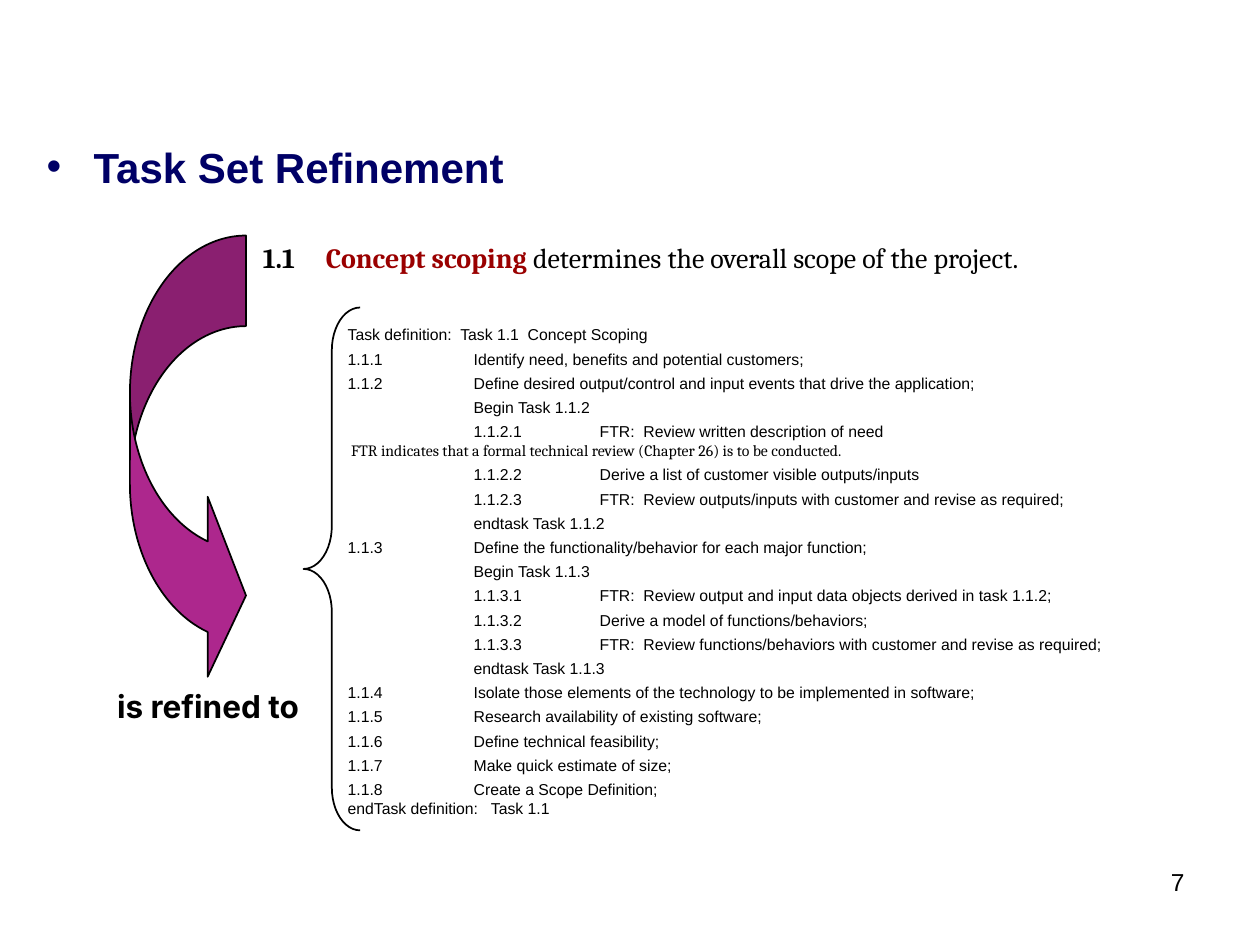
"""Build the Task Set Refinement slide."""
from lxml.etree import SubElement
from pptx import Presentation
from pptx.dml.color import RGBColor
from pptx.enum.shapes import MSO_SHAPE as Shape
from pptx.enum.text import MSO_ANCHOR as Anchor, PP_ALIGN as Align
from pptx.oxml.ns import qn
from pptx.util import Cm, Pt

COLORS = {"text": "000000", "title": "000066", "term": "9A0000", "arrow": "AD278D"}

TASKS = [
    "Task definition:  Task 1.1  Concept Scoping",
    "1.1.1\tIdentify need, benefits and potential customers;",
    "1.1.2\tDefine desired output/control and input events that drive the application;",
    "\tBegin Task 1.1.2",
    "\t1.1.2.1\tFTR:  Review written description of need",
    " FTR indicates that a formal technical review (Chapter 26) is to be conducted.",
    "\t1.1.2.2\tDerive a list of customer visible outputs/inputs",
    "\t1.1.2.3\tFTR:  Review outputs/inputs with customer and revise as required;",
    "\tendtask Task 1.1.2",
    "1.1.3\tDefine the functionality/behavior for each major function;",
    "\tBegin Task 1.1.3",
    "\t1.1.3.1\tFTR:  Review output and input data objects derived in task 1.1.2;",
    "\t1.1.3.2\tDerive a model of functions/behaviors;",
    "\t1.1.3.3\tFTR:  Review functions/behaviors with customer and revise as required;",
    "\tendtask Task 1.1.3",
    "1.1.4\tIsolate those elements of the technology to be implemented in software;",
    "1.1.5\tResearch availability of existing software;",
    "1.1.6\tDefine technical feasibility;",
    "1.1.7\tMake quick estimate of size;",
    "1.1.8\tCreate a Scope Definition;",
    "endTask definition:   Task 1.1",
]
NOTE_ROW = 5


def color(name):
    return RGBColor.from_string(COLORS[name])


def style(span, size, font="Arial", tint="text", bold=False):
    span.font.size = Pt(size)
    span.font.name = font
    span.font.bold = bold
    span.font.color.rgb = color(tint)


def add_text(page, place, text):
    box = page.shapes.add_textbox(*map(Cm, place))
    frame = box.text_frame
    frame.word_wrap = True
    frame.vertical_anchor = Anchor.TOP
    frame.text = text
    return frame.paragraphs


def set_tabs(para, *stops):
    tabs = SubElement(para._p.get_or_add_pPr(), qn("a:tabLst"))
    for stop in stops:
        SubElement(tabs, qn("a:tab"), pos=str(Cm(stop)), algn="l")


def set_bullet(para, indent):
    props = para._p.get_or_add_pPr()
    props.set("marL", str(Cm(indent)))
    props.set("indent", str(-Cm(indent)))
    SubElement(props, qn("a:buFont"), typeface="Arial")
    SubElement(props, qn("a:buChar"), char="•")


def add_title(page):
    para = add_text(page, (0.69, 2.72, 22.86, 2.41), "Task Set Refinement")[0]
    para.space_before = Pt(6)
    set_bullet(para, 0.95)
    style(para.runs[0], 24, tint="title", bold=True)


def add_scope_line(page):
    para = add_text(page, (5.05, 4.72, 15.9, 1.63), "1.1\t")[0]
    para.space_before = Pt(3)
    set_tabs(para, 1.27)
    para.add_run().text = "Concept scoping"
    para.add_run().text = " determines the overall scope of the project."
    number, term, rest = para.runs
    style(number, 16, "Cambria", bold=True)
    style(term, 16, "Cambria", "term", bold=True)
    style(rest, 16, "Cambria")


def add_task_list(page):
    paras = add_text(page, (6.76, 6.43, 16.03, 10.13), "\n".join(TASKS))
    last = len(paras) - 1
    for row, para in enumerate(paras):
        para.space_before = Pt({0: 6, NOTE_ROW: 0, last: 0}.get(row, 3))
        set_tabs(para, 2.54, 5.08)
        style(para.runs[0], 9, "Cambria" if row == NOTE_ROW else "Arial")


def add_outline(page, kind, place, adjustments, fill=None):
    shape = page.shapes.add_shape(kind, *map(Cm, place))
    shape.shadow.inherit = False
    for index, value in enumerate(adjustments):
        shape.adjustments[index] = value
    if fill:
        shape.fill.solid()
        shape.fill.fore_color.rgb = color(fill)
    else:
        shape.fill.background()
    shape.line.color.rgb = color("text")
    shape.line.width = Pt(1)


def add_caption(page):
    para = add_text(page, (2.11, 13.82, 4.9, 0.94), "is refined to")[0]
    para.line_spacing = 0.9
    style(para.runs[0], 18, "Inter", bold=True)


def add_page_number(page):
    para = add_text(page, (18.9, 17.35, 5.23, 1.32), "7")[0]
    para.alignment = Align.RIGHT
    style(para.runs[0], 14)


def main():
    deck = Presentation()
    deck.slide_width, deck.slide_height = Cm(25.4), Cm(19.05)
    page = deck.slides.add_slide(deck.slide_layouts[6])
    add_page_number(page)
    add_title(page)
    add_scope_line(page)
    add_task_list(page)
    add_outline(page, Shape.CURVED_RIGHT_ARROW, (2.62, 4.75, 2.34, 9.07),
                (0.78, 1.55, 0.33), "arrow")
    add_caption(page)
    add_outline(page, Shape.LEFT_BRACE, (6.12, 6.2, 1.14, 10.54), (0.76, 0.5))
    deck.save("out.pptx")


if __name__ == "__main__":
    main()
